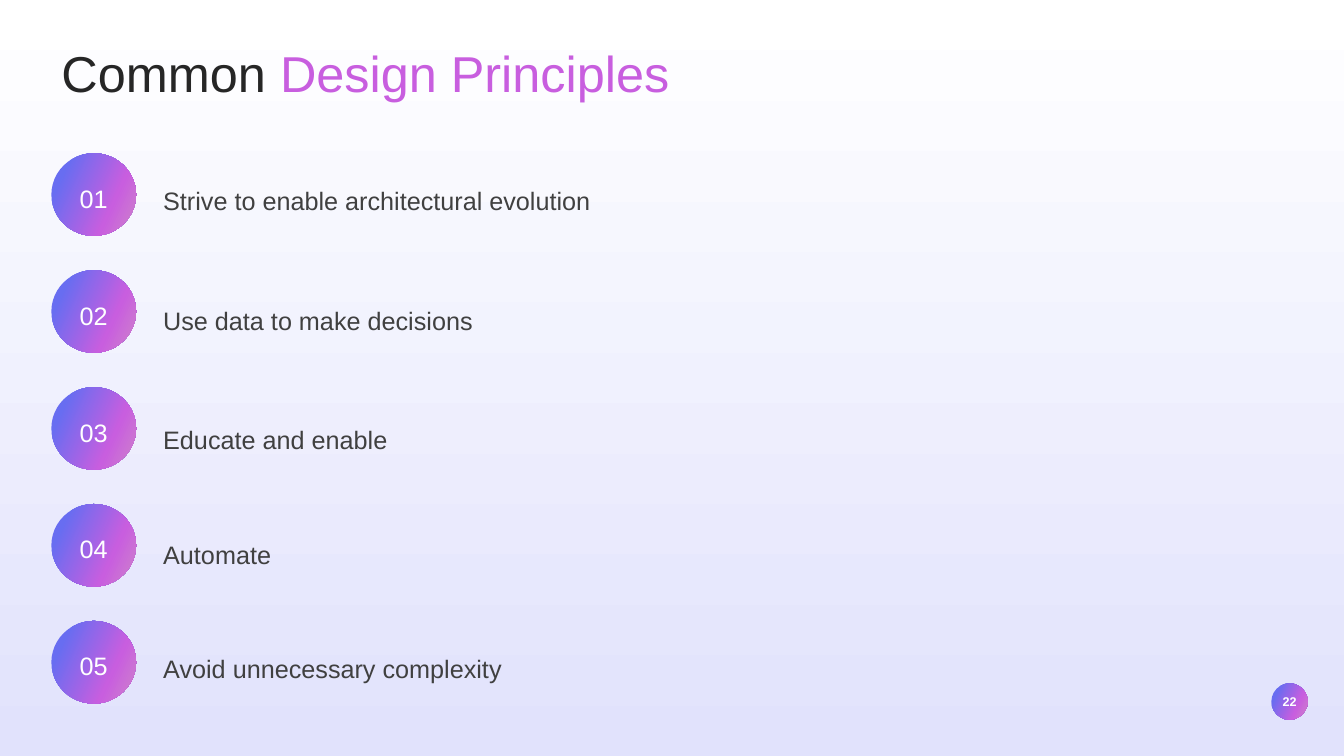
from lxml.etree import SubElement
from pptx import Presentation
from pptx.dml.color import RGBColor
from pptx.enum.shapes import MSO_SHAPE
from pptx.enum.text import MSO_ANCHOR, MSO_AUTO_SIZE, PP_ALIGN
from pptx.oxml.ns import qn
from pptx.util import Emu, Pt

EMU_PER_PX = 9144  # 100 px to the inch
FONT = "Arial"
COLORS = {
    "white": "FFFFFF",
    "lavender": "E1E2FC",
    "heading": "262626",
    "body": "404040",
    "indigo": "686DF1",
    "orchid": "C85EDF",
    "pink": "CE84CA",
}
PAGE_STOPS = [(0, "white"), (100, "lavender")]
CIRCLE_STOPS = [(17, "indigo"), (69, "orchid"), (100, "pink")]

CIRCLE_TOP, CIRCLE_STEP = 152, 116
PRINCIPLES = [
    ("Strive to enable architectural evolution", 170),
    ("Use data to make decisions", 289),
    ("Educate and enable", 407),
    ("Automate", 521),
    ("Avoid unnecessary complexity", 634),
]


def px(*lengths):
    return [Emu(length * EMU_PER_PX) for length in lengths]


class SlideBuilder:
    def __init__(self, slide):
        self.slide = slide

    def gradient(self, fill, owner, stops, angle):
        """Fill with colour stops; the angle in degrees runs clockwise."""
        fill.gradient()
        fill.gradient_angle = 360 - angle
        stop_list = owner.find(".//" + qn("a:gsLst"))
        stop_list.clear()
        for percent, color in stops:
            stop = SubElement(stop_list, qn("a:gs"), pos=str(percent * 1000))
            SubElement(stop, qn("a:srgbClr"), val=COLORS[color])

    def background(self):
        self.gradient(self.slide.background.fill, self.slide.element, PAGE_STOPS, 90)

    def run(self, paragraph, words, size, color, bold=False):
        run = paragraph.add_run()
        run.text = words
        run.font.name = FONT
        run.font.size = Pt(size)
        run.font.bold = bold
        run.font.color.rgb = RGBColor.from_string(COLORS[color])

    def title(self, box, parts):
        heading = self.slide.shapes.title
        heading.left, heading.top, heading.width, heading.height = px(*box)
        frame = heading.text_frame
        frame.vertical_anchor = MSO_ANCHOR.TOP
        frame.auto_size = MSO_AUTO_SIZE.SHAPE_TO_FIT_TEXT
        paragraph = frame.paragraphs[0]
        paragraph.alignment = PP_ALIGN.LEFT
        for words, color in parts:
            self.run(paragraph, words, 36, color)

    def circle(self, box):
        circle = self.slide.shapes.add_shape(MSO_SHAPE.OVAL, *px(*box))
        circle.shadow.inherit = False
        circle.line.fill.background()
        self.gradient(circle.fill, circle.element.spPr, CIRCLE_STOPS, 25)
        return circle

    def numbered_circle(self, box, number):
        frame = self.circle(box).text_frame
        frame.margin_left, frame.margin_top, frame.margin_right, frame.margin_bottom = px(0, 12, 0, 5)
        frame.vertical_anchor = MSO_ANCHOR.MIDDLE
        paragraph = frame.paragraphs[0]
        paragraph.alignment = PP_ALIGN.CENTER
        self.run(paragraph, number, 18, "white")

    def text_box(self, box):
        frame = self.slide.shapes.add_textbox(*px(*box)).text_frame
        frame.word_wrap = True
        frame.auto_size = MSO_AUTO_SIZE.SHAPE_TO_FIT_TEXT
        return frame

    def principle(self, box, words):
        paragraph = self.text_box(box).paragraphs[0]
        paragraph.line_spacing = 1.3
        paragraph.space_after = Pt(8)
        self.run(paragraph, words, 18, "body")

    def page_number(self, number):
        self.circle((1261, 678, 36, 36))
        frame = self.text_box((1256, 683, 46, 25))
        frame.vertical_anchor = MSO_ANCHOR.MIDDLE
        paragraph = frame.paragraphs[0]
        paragraph.alignment = PP_ALIGN.CENTER
        self.run(paragraph, number, 9, "white", bold=True)


def main():
    deck = Presentation()
    deck.slide_width, deck.slide_height = px(1333, 750)
    title_only = deck.slide_layouts.get_by_name("Title Only")
    builder = SlideBuilder(deck.slides.add_slide(title_only))

    builder.background()
    builder.page_number("22")
    builder.title((51, 37, 656, 71), [("Common ", "heading"), ("Design Principles", "orchid")])
    for index, (words, top) in enumerate(PRINCIPLES):
        builder.principle((152, top, 508, 47), words)
        circle_top = CIRCLE_TOP + index * CIRCLE_STEP
        builder.numbered_circle((51, circle_top, 84, 82), f"{index + 1:02d}")

    deck.save("out.pptx")


if __name__ == "__main__":
    main()
